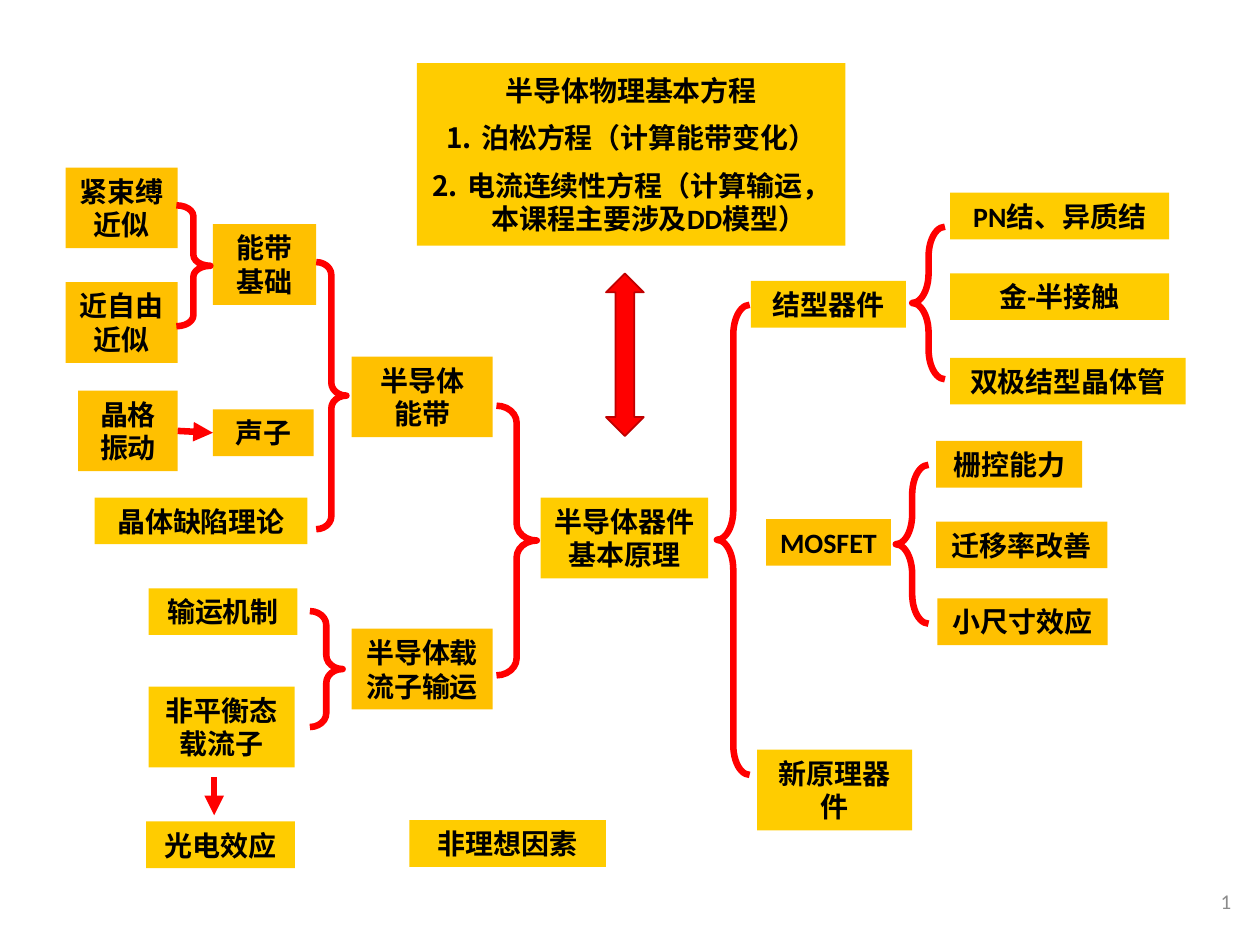
from lxml import etree
from pptx import Presentation
from pptx.dml.color import RGBColor
from pptx.enum.shapes import MSO_CONNECTOR, MSO_SHAPE
from pptx.enum.text import MSO_ANCHOR as Anchor, PP_ALIGN as Align
from pptx.oxml import parse_xml
from pptx.oxml.ns import nsdecls, qn
from pptx.util import Inches, Pt

AMBER, GOLD, RED = "FFC000", "FFCC00", "FF0000"


def color(value):
    return RGBColor.from_string(value)


def style_paragraph(para, size=16, fill="000000", bold=True, align=Align.CENTER):
    para.alignment = align
    para.font.name = "Calibri"
    para.font.size = Pt(size)
    para.font.bold = bold
    para.font.color.rgb = color(fill)


deck = Presentation()
deck.slide_width, deck.slide_height = Inches(10), Inches(7.5)
page = deck.slides.add_slide(deck.slide_layouts[6])

# Topic boxes: lines, left, top, width, height, fill
ONE, TWO = 0.37, 0.64  # heights for one and two lines of text
topics = [
    # Energy bands
    (["紧束缚近似"], 0.52, 1.33, 0.89, TWO, AMBER),
    (["近自由近似"], 0.52, 2.24, 0.89, TWO, AMBER),
    (["能带基础"], 1.69, 1.78, 0.82, TWO, AMBER),
    (["晶格振动"], 0.62, 3.10, 0.79, TWO, AMBER),
    (["声子"], 1.69, 3.25, 0.80, ONE, AMBER),
    (["晶体缺陷理论"], 0.75, 3.95, 1.69, ONE, GOLD),
    (["半导体", "能带"], 2.79, 2.83, 1.12, TWO, AMBER),
    # Carrier transport
    (["输运机制"], 1.18, 4.67, 1.18, ONE, GOLD),
    (["非平衡态载流子"], 1.18, 5.45, 1.16, TWO, GOLD),
    (["光电效应"], 1.16, 6.52, 1.18, ONE, GOLD),
    (["半导体载流子输运"], 2.79, 4.99, 1.12, TWO, AMBER),
    # Centre
    (["半导体物理基本方程", "泊松方程（计算能带变化）",
      "电流连续性方程（计算输运，本课程主要涉及DD模型）"], 3.31, 0.50, 3.40, 1.45, GOLD),
    (["半导体器件基本原理"], 4.29, 3.95, 1.33, TWO, GOLD),
    (["非理想因素"], 3.25, 6.51, 1.56, ONE, GOLD),
    # Junction devices
    (["结型器件"], 5.96, 2.23, 1.23, ONE, GOLD),
    (["PN结、异质结"], 7.54, 1.53, 1.74, ONE, GOLD),
    (["金-半接触"], 7.54, 2.17, 1.74, ONE, GOLD),
    (["双极结型晶体管"], 7.54, 2.84, 1.87, ONE, GOLD),
    # MOSFET and new devices
    (["MOSFET"], 6.08, 4.12, 0.99, ONE, AMBER),
    (["栅控能力"], 7.43, 3.50, 1.16, ONE, AMBER),
    (["迁移率改善"], 7.43, 4.14, 1.36, ONE, AMBER),
    (["小尺寸效应"], 7.44, 4.75, 1.35, ONE, AMBER),
    (["新原理器件"], 6.01, 5.95, 1.23, TWO, GOLD),
]
boxes = {}
for lines, left, top, width, height, fill in topics:
    box = page.shapes.add_shape(MSO_SHAPE.RECTANGLE, Inches(left), Inches(top),
                                Inches(width), Inches(height))
    box.shadow.inherit = False
    box.fill.solid()
    box.fill.fore_color.rgb = color(fill)
    box.line.fill.background()
    frame = box.text_frame
    frame.word_wrap = True
    frame.vertical_anchor = Anchor.MIDDLE
    frame.text = "\n".join(lines)
    for para in frame.paragraphs:
        style_paragraph(para)
    boxes[lines[0]] = box

# Numbered equations under the heading
for para in boxes["半导体物理基本方程"].text_frame.paragraphs[1:]:
    para.space_before = Pt(8)
    props = para._p.get_or_add_pPr()
    props.set("marL", str(Inches(0.28)))
    props.set("indent", str(-Inches(0.28)))
    numbering = parse_xml(f'<a:buAutoNum {nsdecls("a")} type="arabicPeriod"/>')
    props.find(qn("a:defRPr")).addprevious(numbering)

# Braces: left, top, width, height, curl, opens to the right
braces = [
    (1.40, 1.63, 0.27, 0.96, 0.32, False),
    (2.51, 2.08, 0.24, 2.12, 0.424, False),
    (2.46, 4.85, 0.26, 0.92, 0.424, False),
    (3.94, 3.22, 0.32, 2.14, 0.424, False),
    (5.69, 2.42, 0.26, 3.73, 0.912, True),
    (7.24, 1.80, 0.26, 1.21, 0.912, True),
    (7.11, 3.69, 0.26, 1.26, 0.912, True),
]
for left, top, width, height, curl, opens_right in braces:
    kind = MSO_SHAPE.LEFT_BRACE if opens_right else MSO_SHAPE.RIGHT_BRACE
    brace = page.shapes.add_shape(kind, Inches(left), Inches(top),
                                  Inches(width), Inches(height))
    brace.shadow.inherit = False
    brace.adjustments[0] = curl
    brace.fill.background()
    brace.line.color.rgb = color(RED)
    brace.line.width = Pt(3.75)

# Double arrow between the equations and the device principles
double_arrow = page.shapes.add_shape(MSO_SHAPE.UP_DOWN_ARROW, Inches(4.81), Inches(2.17),
                                     Inches(0.3), Inches(1.29))
double_arrow.shadow.inherit = False
double_arrow.fill.solid()
double_arrow.fill.fore_color.rgb = color(RED)
double_arrow.line.color.rgb = color("C00000")
double_arrow.line.width = Pt(1)

# Small arrows
phonon_arrow, photo_arrow = [
    page.shapes.add_connector(MSO_CONNECTOR.STRAIGHT, *map(Inches, ends))
    for ends in [(1.4, 3.44, 1.7, 3.44), (1.7, 6.17, 1.7, 6.47)]
]
phonon_arrow.begin_connect(boxes["晶格振动"], 3)
phonon_arrow.end_connect(boxes["声子"], 1)
for arrow in (phonon_arrow, photo_arrow):
    arrow.line.color.rgb = color(RED)
    arrow.line.width = Pt(3.75)
    etree.SubElement(arrow.line._get_or_add_ln(), qn("a:tailEnd"), type="triangle")
    etree.SubElement(arrow._element.spPr, qn("a:effectLst"))

# Slide number field
number_box = page.shapes.add_textbox(Inches(7.62), Inches(6.95), Inches(2.25), Inches(0.4))
number_box.text_frame.word_wrap = True
number_box.text_frame.vertical_anchor = Anchor.MIDDLE
para = number_box.text_frame.paragraphs[0]
style_paragraph(para, 12, "8C8C8C", False, Align.RIGHT)
field = parse_xml(
    f'<a:fld {nsdecls("a")} id="{{B6F15528-21DE-4FAA-801E-634DDDAF4B2B}}" type="slidenum">'
    '<a:rPr lang="en-US" sz="1200"><a:solidFill><a:srgbClr val="8C8C8C"/></a:solidFill>'
    '<a:latin typeface="Calibri"/></a:rPr><a:t>1</a:t></a:fld>')
para._p.append(field)

deck.save("out.pptx")
